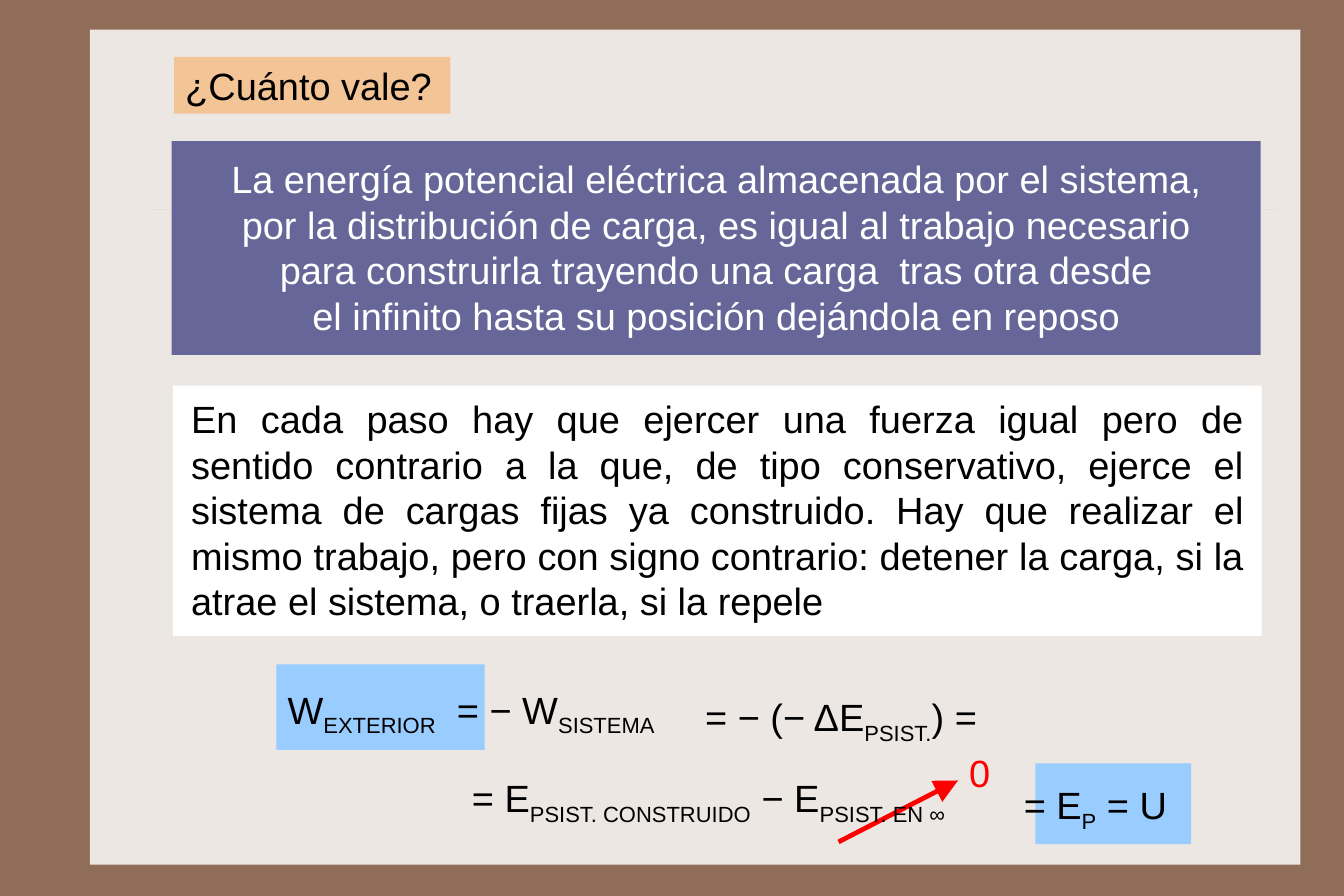
from lxml import etree
from pptx import Presentation
from pptx.dml.color import RGBColor as RGB
from pptx.enum.shapes import MSO_CONNECTOR as LINE, MSO_SHAPE as SHAPE
from pptx.enum.text import MSO_ANCHOR as ANCHOR, PP_ALIGN as ALIGN
from pptx.oxml.ns import qn
from pptx.util import Inches, Pt

BROWN = RGB(0x90, 0x6D, 0x58)
CREAM = RGB(0xED, 0xE7, 0xE3)
SAND = RGB(0xCB, 0xBD, 0x83)
PEACH = RGB(0xF3, 0xC4, 0x95)
PURPLE = RGB(0x66, 0x66, 0x99)
BLUE = RGB(0x99, 0xCC, 0xFF)
RED = RGB(0xFF, 0x00, 0x00)
WHITE = RGB(0xFF, 0xFF, 0xFF)
BLACK = RGB(0x00, 0x00, 0x00)

CLAIM = [
    "La energía potencial eléctrica almacenada por el sistema,",
    "por la distribución de carga, es igual al trabajo necesario",
    "para construirla trayendo una carga  tras otra desde",
    "el infinito hasta su posición dejándola en reposo",
]
NOTE = (
    "En cada paso hay que ejercer una fuerza igual pero de sentido contrario "
    "a la que, de tipo conservativo, ejerce el sistema de cargas fijas ya "
    "construido. Hay que realizar el mismo trabajo, pero con signo contrario: "
    "detener la carga, si la atrae el sistema, o traerla, si la repele"
)
TERMS = [
    (0, 0.1, 3.75, ["W", "EXTERIOR", "  = − W", "SISTEMA"]),
    (3.67, 0.17, 2.9, ["= − (− ΔE", "PSIST.", ") ="]),
    (1.62, 0.88, 4.93, ["= E", "PSIST. CONSTRUIDO", " − E", "PSIST. EN ∞"]),
    (6.47, 0.94, 1.6, ["= E", "P", " = U"]),
]


def add_box(slide, x, y, w, h, fill):
    """Add a plain filled rectangle."""
    box = slide.shapes.add_shape(
        SHAPE.RECTANGLE, Inches(x), Inches(y), Inches(w), Inches(h))
    box.shadow.inherit = False
    box.fill.solid()
    box.fill.fore_color.rgb = fill
    box.line.fill.background()
    return box


def add_line(slide, x, y, dx, dy, color, width):
    """Add a straight line without shadow."""
    line = slide.shapes.add_connector(
        LINE.STRAIGHT, Inches(x), Inches(y), Inches(x + dx), Inches(y + dy))
    line.line.color.rgb = color
    line.line.width = Pt(width)
    etree.SubElement(line._element.spPr, qn("a:effectLst"))
    return line


def set_text(shape, lines, color=BLACK, align=ALIGN.LEFT, pad=(0.1, 0.05), wrap=True):
    """Write lines of runs, where every second run is a subscript."""
    frame = shape.text_frame
    frame.word_wrap = wrap
    frame.vertical_anchor = ANCHOR.TOP
    frame.margin_left = frame.margin_right = Inches(pad[0])
    frame.margin_top = frame.margin_bottom = Inches(pad[1])
    for i, parts in enumerate(lines):
        para = frame.add_paragraph() if i else frame.paragraphs[0]
        para.alignment = align
        for j, part in enumerate(parts):
            run = para.add_run()
            run.text = part
            run.font.name = "Arial"
            run.font.size = Pt(24)
            run.font.color.rgb = color
            if j % 2:
                run._r.get_or_add_rPr().set("baseline", "-25000")


def add_label(slide, x, y, w, h, parts, **style):
    """Add a text box with one line of runs."""
    label = slide.shapes.add_textbox(Inches(x), Inches(y), Inches(w), Inches(h))
    set_text(label, [parts], **style)


def draw_page(slide, x, y, w, h):
    """Draw the brown frame, the cream page and its faint rule."""
    slide.background.fill.solid()
    slide.background.fill.fore_color.rgb = BROWN
    add_box(slide, x, y, w, h, CREAM)
    rule = add_line(slide, x + 0.52, y + 1.58, w - 0.73, 0, SAND, 0.25)
    tint = rule._element.spPr.find(".//" + qn("a:srgbClr"))
    etree.SubElement(tint, qn("a:alpha"), val="25000")


def draw_title(slide, x, y, w, h):
    """Draw the question at the top."""
    set_text(add_box(slide, x, y, w, h, PEACH), [["¿Cuánto vale?"]])


def draw_claim(slide, x, y, w, h):
    """Draw the centred statement."""
    set_text(add_box(slide, x, y, w, h, PURPLE), [[line] for line in CLAIM],
             color=WHITE, align=ALIGN.CENTER, pad=(0.14, 0.13))


def draw_note(slide, x, y, w, h):
    """Draw the justified explanation."""
    set_text(add_box(slide, x, y, w, h, WHITE), [[NOTE]],
             align=ALIGN.JUSTIFY, pad=(0.16, 0.09))


def draw_math(slide, x, y):
    """Draw the equation, its blue marks and the term that goes to zero."""
    add_box(slide, x + 6.67, y + 0.87, 1.37, 0.71, BLUE)
    add_box(slide, x, y, 1.83, 0.75, BLUE)
    arrow = add_line(slide, x + 4.94, y + 1.56, 1.05, -0.54, RED, 3)
    etree.SubElement(arrow.line._get_or_add_ln(), qn("a:tailEnd"),
                     type="triangle", w="lg", len="lg")
    add_label(slide, x + 5.99, y + 0.7, 0.39, 0.5, ["0"], color=RED, wrap=False)
    for dx, dy, w, parts in TERMS:
        add_label(slide, x + dx, y + dy, w, 0.59, parts, pad=(0.1, 0.09))


def main():
    """Build and save the slide."""
    deck = Presentation()
    deck.slide_width = Inches(189 / 16)
    deck.slide_height = Inches(63 / 8)
    slide = deck.slides.add_slide(deck.slide_layouts[6])
    draw_page(slide, 0.79, 0.26, 10.64, 7.34)
    draw_title(slide, 1.53, 0.5, 2.43, 0.5)
    draw_claim(slide, 1.51, 1.24, 9.57, 1.88)
    draw_note(slide, 1.52, 3.39, 9.57, 2.2)
    draw_math(slide, 2.43, 5.84)
    deck.save("out.pptx")


if __name__ == "__main__":
    main()
